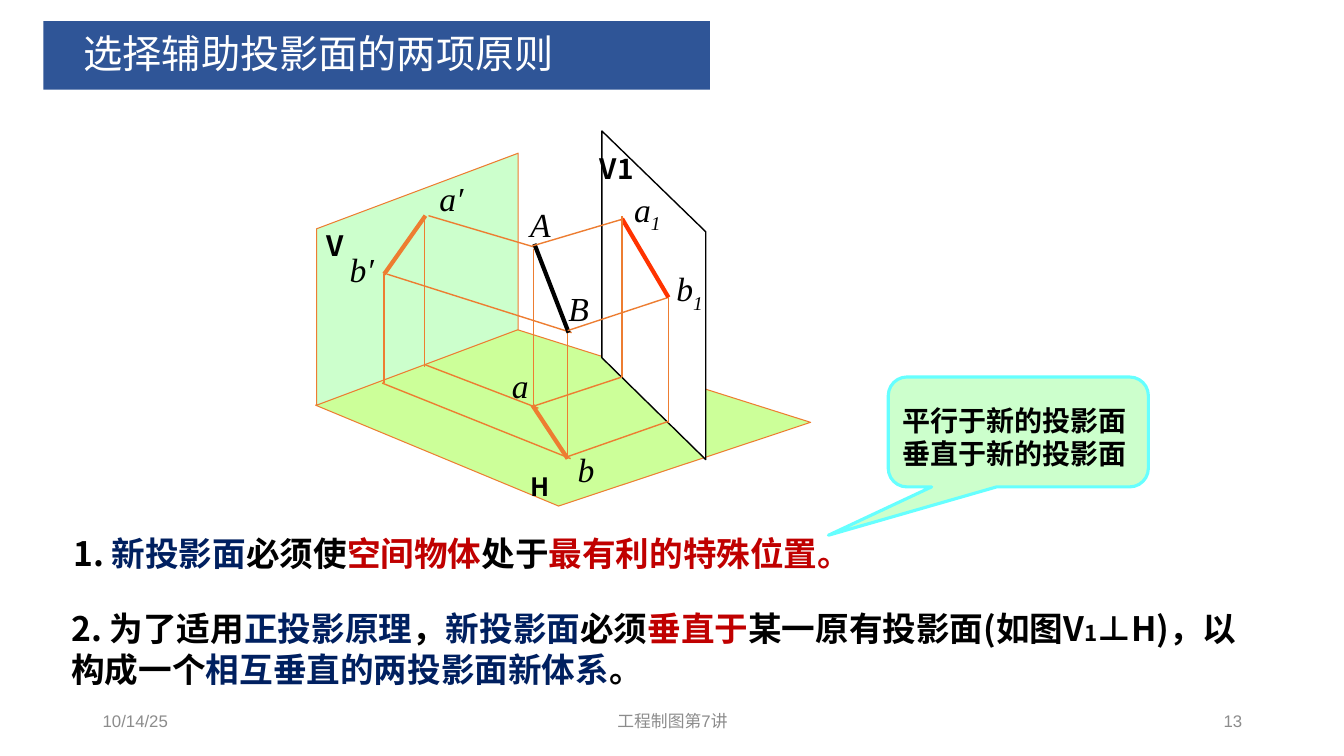
from dataclasses import dataclass

from lxml import etree
from pptx import Presentation
from pptx.dml.color import RGBColor
from pptx.enum.shapes import MSO_CONNECTOR as Connector, MSO_SHAPE as Shape
from pptx.enum.text import MSO_ANCHOR as Anchor, PP_ALIGN as Align
from pptx.oxml.ns import qn
from pptx.util import Inches, Pt

SANS, SERIF, ARIAL = "Noto Sans CJK SC", "Times New Roman", "Arial"
BLACK, WHITE, NAVY, RED, GREY = "000000", "FFFFFF", "002060", "C00000", "8C8C8C"
ORANGE, SCARLET, MINT = "ED7D31", "FF3300", "CCFFCC"

Point = tuple[float, float]


@dataclass
class Span:
    text: str
    color: str = BLACK
    size: float = 24
    font: str = SANS
    bold: bool = True
    italic: bool = False
    subscript: bool = False


@dataclass
class Label:
    left: float
    top: float
    width: float
    height: float
    paras: list[list[Span]]
    align: Align = Align.LEFT
    anchor: Anchor = Anchor.TOP
    wrap: bool = True


@dataclass
class Edge:
    start: Point
    end: Point
    color: str = ORANGE
    weight: float = 1


@dataclass
class Plane:
    corners: list[Point]
    fill: str
    line: str
    weight: float


def rgb(color: str) -> RGBColor:
    return RGBColor.from_string(color)


def write_paras(frame, paras: list[list[Span]], align: Align) -> None:
    for index, spans in enumerate(paras):
        para = frame.paragraphs[0] if index == 0 else frame.add_paragraph()
        para.alignment = align
        for span in spans:
            run = para.add_run()
            run.text = span.text
            font = run.font
            font.size, font.bold, font.italic = Pt(span.size), span.bold, span.italic
            font.color.rgb = rgb(span.color)
            font.name = span.font
            props = run._r.get_or_add_rPr()
            east_asian = SERIF if span.font == SERIF else SANS
            etree.SubElement(props, qn("a:ea")).set("typeface", east_asian)
            if span.subscript:
                props.set("baseline", "-25000")


def draw_label(page, label: Label) -> None:
    box = page.shapes.add_textbox(Inches(label.left), Inches(label.top),
                                  Inches(label.width), Inches(label.height))
    frame = box.text_frame
    frame.word_wrap = label.wrap
    frame.vertical_anchor = label.anchor
    write_paras(frame, label.paras, label.align)


def draw_edge(page, edge: Edge) -> None:
    ends = [Inches(value) for value in (*edge.start, *edge.end)]
    line = page.shapes.add_connector(Connector.STRAIGHT, *ends)
    line.line.color.rgb = rgb(edge.color)
    line.line.width = Pt(edge.weight)
    etree.SubElement(line._element.spPr, qn("a:effectLst"))


def draw_plane(page, plane: Plane) -> None:
    first, *rest = [(Inches(x), Inches(y)) for x, y in plane.corners]
    builder = page.shapes.build_freeform(*first)
    builder.add_line_segments(rest, close=True)
    style_shape(builder.convert_to_shape(), plane.fill, plane.line, plane.weight)


def style_shape(shape, fill: str, line: str | None = None, weight: float = 1) -> None:
    shape.shadow.inherit = False
    shape.fill.solid()
    shape.fill.fore_color.rgb = rgb(fill)
    if line is None:
        shape.line.fill.background()
    else:
        shape.line.color.rgb = rgb(line)
        shape.line.width = Pt(weight)


def point_label(left: float, top: float, text: str, subscript: str = "") -> Label:
    spans = [Span(text, font=SERIF, bold=False, italic=True)]
    if subscript:
        spans.append(Span(subscript, font=SERIF, bold=False, italic=True, subscript=True))
    return Label(left, top, 0.48 if len(text + subscript) > 1 else 0.4, 0.51, [spans], wrap=False)


def plane_label(left: float, top: float, width: float, text: str, size: float = 20) -> Label:
    return Label(left, top, width, 0.43, [[Span(text, size=size)]], wrap=False)


def footer(left: float, width: float, text: str, align: Align) -> Label:
    span = Span(text, GREY, 12, ARIAL, bold=False)
    return Label(left, 6.95, width, 0.4, [[span]], align, Anchor.MIDDLE)


PLANE_H = Plane([(3.13, 4.02), (5.13, 3.27), (8.04, 4.19), (5.54, 5.02)], "CCFF99", ORANGE, 0.75)
PLANE_V = Plane([(3.14, 2.27), (5.14, 1.52), (5.14, 3.27), (3.14, 4.02)], MINT, ORANGE, 0.75)
PLANE_V1 = Plane([(5.97, 3.55), (5.97, 1.3), (7, 2.3), (7, 4.56)], WHITE, BLACK, 1)

OLD_SYSTEM = [
    Edge((5.29, 2.47), (5.29, 4.05)),
    Edge((5.63, 3.3), (5.63, 4.55)),
    Edge((5.33, 2.46), (4.25, 2.14)),
    Edge((5.67, 3.3), (3.84, 2.72)),
    Edge((3.81, 2.72), (3.81, 3.8)),
    Edge((4.21, 2.14), (4.21, 3.64)),
    Edge((3.79, 3.8), (5.66, 4.55)),
    Edge((4.22, 3.62), (5.34, 4.05)),
    Edge((4.22, 2.14), (3.81, 2.72), weight=3),
    Edge((5.28, 4.02), (5.63, 4.55), weight=3),
    Edge((5.3, 2.42), (5.64, 3.3), BLACK, 3),
]
NEW_SYSTEM = [
    Edge((5.63, 3.28), (6.63, 2.95)),
    Edge((5.63, 4.53), (6.63, 4.18)),
    Edge((5.29, 4.03), (6.17, 3.74)),
    Edge((5.28, 2.44), (6.19, 2.17)),
    Edge((6.17, 2.17), (6.63, 2.95), SCARLET, 3),
    Edge((6.17, 3.74), (6.17, 2.14)),
    Edge((6.63, 4.2), (6.63, 2.95)),
]
DIAGRAM_LABELS = [
    plane_label(3.14, 2.22, 0.38, "V"), plane_label(5.16, 4.63, 0.4, "H", 18),
    plane_label(5.85, 1.45, 0.54, "V1"),
    point_label(5.16, 1.97, "A"), point_label(5.54, 2.81, "B"),
    point_label(4.26, 1.72, "a′"), point_label(3.37, 2.42, "b′"),
    point_label(4.98, 3.57, "a"), point_label(5.63, 4.4, "b"),
    point_label(6.19, 1.82, "a", "1"), point_label(6.61, 2.61, "b", "1"),
]
RULE_ONE = [
    Span("1. "), Span("新投影面", NAVY), Span("必须使"), Span("空间物体", RED),
    Span("处于"), Span("最有利的特殊位置。", RED),
]
RULE_TWO = [
    Span("2. 为了适用"), Span("正投影原理", NAVY), Span("，"), Span("新投影面", NAVY),
    Span("必须"), Span("垂直于", RED), Span("某一原有投影面(如图V"), Span("1", size=16),
    Span("⊥H)，以构成一个"), Span("相互垂直的两投影面新体系", NAVY), Span("。"),
]
CALLOUT_LINES = [[Span("平行于新的投影面", size=20)], [Span("垂直于新的投影面", size=20)]]
TEXTS = [
    Label(0.63, 5.24, 12.43, 0.5, [RULE_ONE], anchor=Anchor.MIDDLE),
    Label(0.61, 5.98, 11.93, 0.91, [RULE_TWO], anchor=Anchor.MIDDLE),
    Label(8.85, 3.95, 2.47, 0.77, CALLOUT_LINES),
    footer(0.92, 3, "10/14/25", Align.LEFT),
    footer(4.42, 4.5, "工程制图第7讲", Align.CENTER),
    footer(9.42, 3, "13", Align.RIGHT),
]


def draw_title(page) -> None:
    banner = page.shapes.add_shape(Shape.RECTANGLE, Inches(0.43), Inches(0.21), Inches(6.61), Inches(0.68))
    style_shape(banner, "2F5597")
    frame = banner.text_frame
    frame.margin_left = Inches(0.4)
    frame.vertical_anchor = Anchor.MIDDLE
    write_paras(frame, [[Span("选择辅助投影面的两项原则", WHITE, 28, ARIAL, bold=False)]], Align.LEFT)
    frame.paragraphs[0].line_spacing = 0.9


def draw_callout(page) -> None:
    callout = page.shapes.add_shape(Shape.ROUNDED_RECTANGULAR_CALLOUT, Inches(8.81), Inches(3.74),
                                    Inches(2.58), Inches(1.09))
    for index, value in enumerate((-0.73, 0.94, 0.17)):
        callout.adjustments[index] = value
    style_shape(callout, MINT, "66FFFF", 2.25)


def main() -> None:
    deck = Presentation()
    deck.slide_width, deck.slide_height = Inches(13.33), Inches(7.5)
    page = deck.slides.add_slide(deck.slide_layouts[6])
    draw_title(page)
    for plane, edges in (([PLANE_H, PLANE_V], OLD_SYSTEM), ([PLANE_V1], NEW_SYSTEM)):
        for item in plane:
            draw_plane(page, item)
        for edge in edges:
            draw_edge(page, edge)
    draw_callout(page)
    for label in DIAGRAM_LABELS + TEXTS:
        draw_label(page, label)
    deck.save("out.pptx")


if __name__ == "__main__":
    main()
